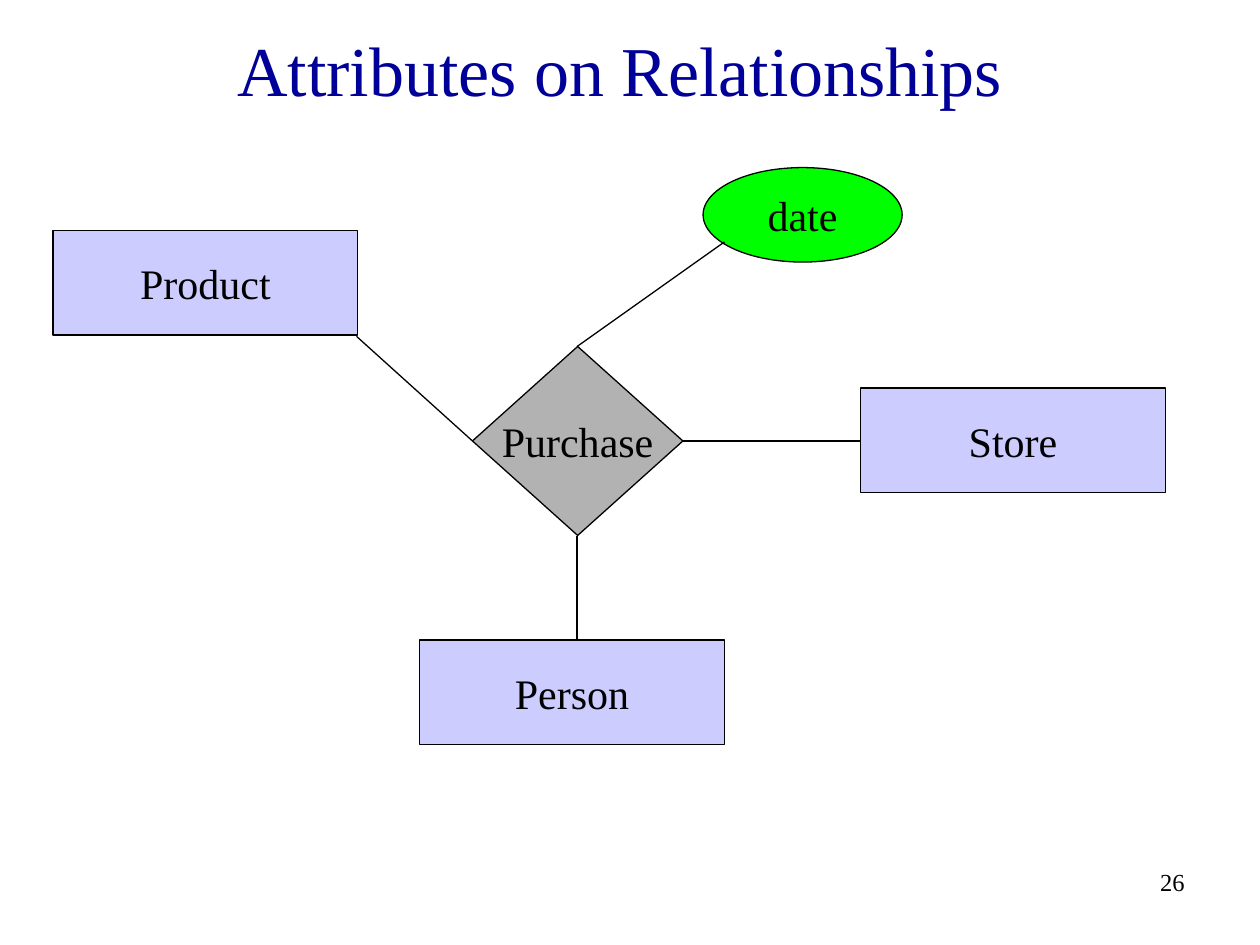
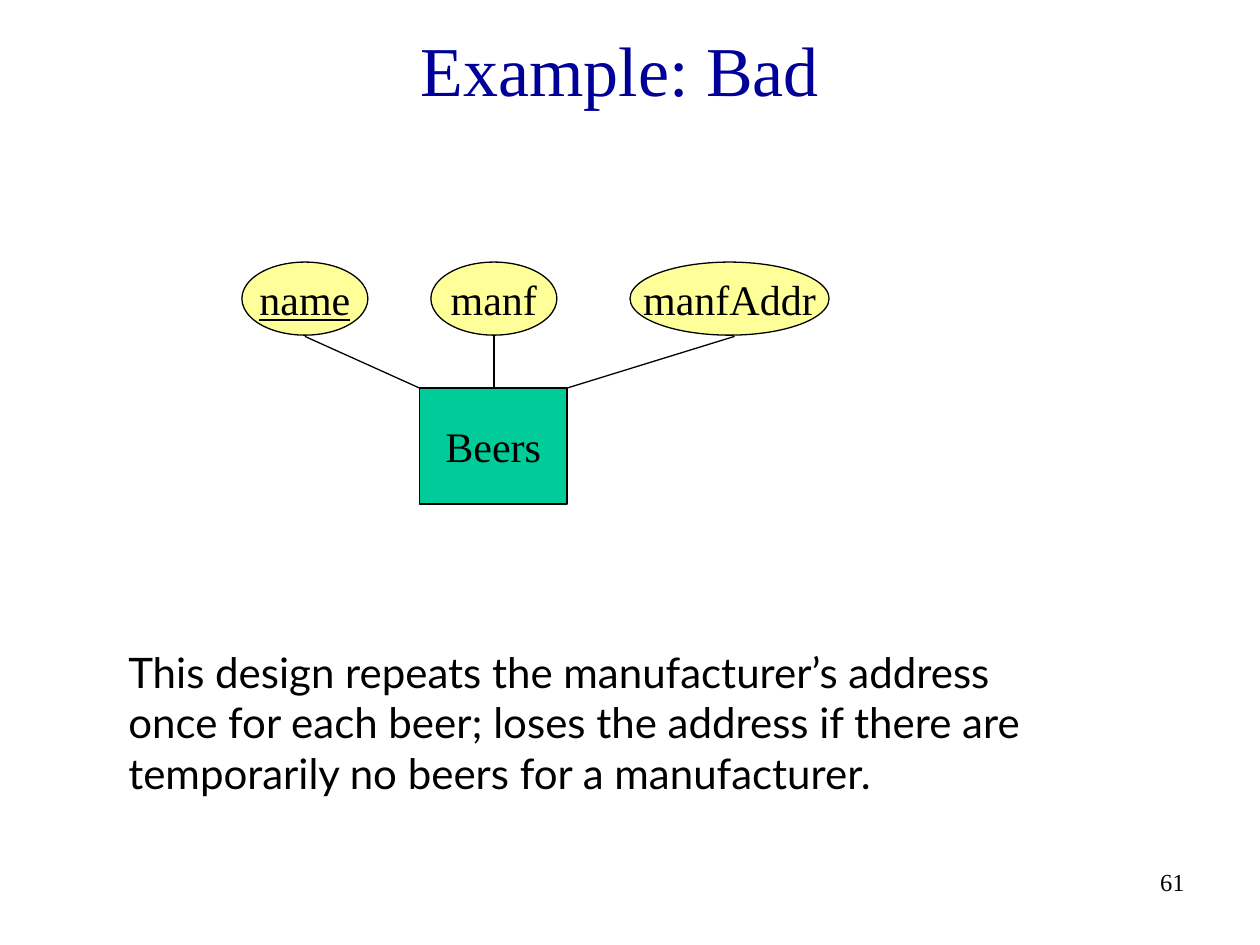
from dataclasses import dataclass

from lxml import etree
from pptx import Presentation
from pptx import util as u
from pptx.dml.color import RGBColor
from pptx.enum import shapes, text
from pptx.oxml import ns


@dataclass(frozen=True)
class Theme:
    # Colours
    ink: str = "000000"
    title: str = "000099"
    entity: str = "CCCCFF"
    relationship: str = "B2B2B2"
    date: str = "00FF00"
    beers: str = "00CC99"
    attribute: str = "FFFF99"
    # Fonts, type sizes and line width
    serif: str = "Times New Roman"
    sans: str = "Lato"
    title_size: int = 40
    label_size: int = 24
    number_size: int = 14
    line_width: float = 0.75


def box(left, top, width, height):
    return [u.Inches(side) for side in (left, top, width, height)]


class Deck:
    def __init__(self, theme):
        self.theme = theme
        self.prs = Presentation()
        self.prs.slide_width, self.prs.slide_height = u.Inches(10), u.Inches(7.5)
        self.slide = None

    def new_slide(self, heading, number):
        """Start a slide with its title and page number."""
        theme = self.theme
        self.slide = self.prs.slides.add_slide(self.prs.slide_layouts[5])
        title = self.slide.shapes.title
        title.left, title.top, title.width, title.height = box(0.17, 0.17, 9.5, 0.75)
        title.text_frame.vertical_anchor = text.MSO_ANCHOR.MIDDLE
        title.text_frame.auto_size = text.MSO_AUTO_SIZE.NONE
        self.add_words(title.text_frame, heading, theme.title_size,
                       color=theme.title, align=text.PP_ALIGN.CENTER)
        self.textbox(str(number), (7.42, 6.83, 2.08, 0.5),
                     theme.number_size, align=text.PP_ALIGN.RIGHT)

    def add_words(self, frame, words, size, font=None, color=None,
                  align=text.PP_ALIGN.LEFT, underline=False):
        paragraph = frame.paragraphs[0]
        paragraph.alignment = align
        run = paragraph.add_run()
        run.text = words
        run.font.size = u.Pt(size)
        run.font.name = font or self.theme.serif
        run.font.color.rgb = RGBColor.from_string(color or self.theme.ink)
        if underline:
            run.font.underline = True

    def textbox(self, words, place, size, **style):
        frame = self.slide.shapes.add_textbox(*box(*place)).text_frame
        frame.word_wrap = True
        self.add_words(frame, words, size, **style)

    def node(self, kind, words, place, fill, underline=False):
        """Draw a labelled part of the diagram."""
        shape = self.slide.shapes.add_shape(kind, *box(*place))
        shape.shadow.inherit = False
        shape.fill.solid()
        shape.fill.fore_color.rgb = RGBColor.from_string(fill)
        self.outline(shape.line)
        frame = shape.text_frame
        frame.word_wrap = False
        frame.vertical_anchor = text.MSO_ANCHOR.MIDDLE
        self.add_words(frame, words, self.theme.label_size,
                       align=text.PP_ALIGN.CENTER, underline=underline)

    def link(self, start, end):
        line = self.slide.shapes.add_connector(
            shapes.MSO_CONNECTOR.STRAIGHT,
            *[u.Inches(value) for value in (*start, *end)])
        self.outline(line.line)
        etree.SubElement(line._element.spPr, ns.qn("a:effectLst"))

    def outline(self, line):
        line.color.rgb = RGBColor.from_string(self.theme.ink)
        line.width = u.Pt(self.theme.line_width)


def purchase_slide(deck):
    theme, kinds = deck.theme, shapes.MSO_SHAPE
    deck.new_slide("Attributes on Relationships", 26)

    # Relationship, entities and attribute
    deck.node(kinds.DIAMOND, "Purchase", (3.75, 2.75, 1.67, 1.5), theme.relationship)
    for entity, left, top in (("Product", 0.42, 1.83),
                              ("Person", 3.33, 5.08),
                              ("Store", 6.83, 3.08)):
        deck.node(kinds.RECTANGLE, entity, (left, top, 2.42, 0.83), theme.entity)
    deck.node(kinds.OVAL, "date", (5.58, 1.33, 1.58, 0.75), theme.date)

    # Links from the corners of the diamond to store, person, date and product
    for corner, target in (((5.42, 3.5), (6.83, 3.5)),
                           ((4.58, 4.25), (4.58, 5.08)),
                           ((4.58, 2.75), (5.75, 1.92)),
                           ((3.75, 3.5), (2.83, 2.67))):
        deck.link(corner, target)


def beers_slide(deck):
    theme, kinds = deck.theme, shapes.MSO_SHAPE
    deck.new_slide("Example: Bad", 61)

    # Entity
    beers_top = 3.08
    deck.node(kinds.RECTANGLE, "Beers", (3.33, beers_top, 1.17, 0.92), theme.beers)

    # Attributes, each linked to the top edge of the entity
    for attribute, left, width, link_x, beers_x, is_key in (
            ("name", 1.92, 1, 2.42, 3.33, True),
            ("manf", 3.42, 1, 3.92, 3.92, False),
            ("manfAddr", 5, 1.58, 5.83, 4.5, False)):
        deck.node(kinds.OVAL, attribute, (left, 2.08, width, 0.58),
                  theme.attribute, underline=is_key)
        deck.link((link_x, 2.67), (beers_x, beers_top))

    # Remark
    deck.textbox("This design repeats the manufacturer’s address once for each "
                 "beer; loses the address if there are temporarily no beers "
                 "for a manufacturer.",
                 (0.92, 5.08, 7.52, 1.7), theme.label_size, font=theme.sans)


def main():
    deck = Deck(Theme())
    purchase_slide(deck)
    beers_slide(deck)
    deck.prs.save("out.pptx")


if __name__ == "__main__":
    main()
